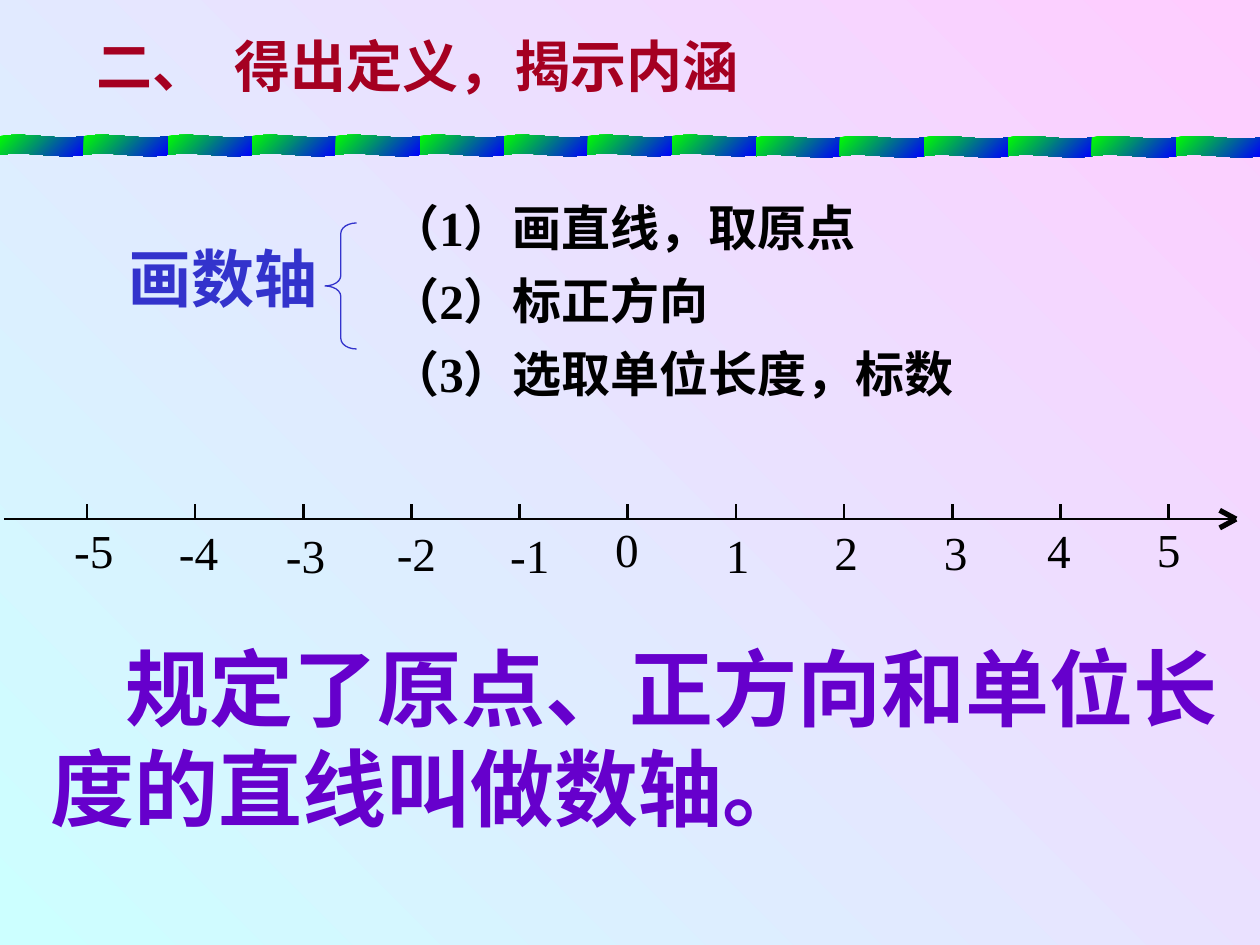
from lxml.etree import SubElement
from pptx import Presentation
from pptx.dml.color import RGBColor
from pptx.enum.shapes import MSO_CONNECTOR, MSO_SHAPE
from pptx.enum.text import MSO_AUTO_SIZE, PP_ALIGN
from pptx.oxml.ns import qn
from pptx.util import Inches, Pt

COLORS = {
    "sky": "CCFFFF", "pink": "FFCCFF", "green": "00FF00", "blue": "0000FF",
    "title": "A50021", "topic": "3333CC", "definition": "6600CC",
    "step": "000000", "axis": "010101",
}
LATIN, CHINESE = "Times New Roman", "Noto Sans CJK SC"
RIBBON_PIECES = 15
AXIS_TOP, FIRST_TICK, TICK_GAP = 4.12, 0.69, 0.8585
STEPS = [("（1）画直线，取原点", 5.58), ("（2）标正方向", 3.75), ("（3）选取单位长度，标数", 5.58)]
NUMBER_PLACES = {
    -5: (0.57, 4.14), -4: (1.4, 4.15), -3: (2.25, 4.18), -2: (3.13, 4.16),
    -1: (4.03, 4.18), 0: (4.88, 4.13), 1: (5.76, 4.18), 2: (6.62, 4.15),
    3: (7.49, 4.15), 4: (8.31, 4.14), 5: (9.18, 4.13),
}


def color(name):
    return RGBColor.from_string(COLORS[name])


def inches(*lengths):
    return [Inches(length) for length in lengths]


class SlideBuilder:
    """Holds the current slide and draws each kind of element on it."""

    def __init__(self, page):
        self.page = page

    def gradient(self, fill, start, end, angle):
        """Fill with two colours; the angle runs counter-clockwise."""
        fill.gradient()
        fill.gradient_angle = angle
        for stop, name in zip(fill.gradient_stops, (start, end)):
            stop.color.rgb = color(name)

    def text(self, text, place, size, ink, typeface=LATIN, bold=True,
             margins=(0.1, 0.05), wrap=True, align=PP_ALIGN.LEFT, indent=0, tab=None):
        box = self.page.shapes.add_textbox(*inches(*place))
        horizontal, vertical = inches(*margins)
        frame_format = {
            "margin_left": horizontal, "margin_right": horizontal,
            "margin_top": vertical, "margin_bottom": vertical,
            "word_wrap": wrap, "auto_size": MSO_AUTO_SIZE.SHAPE_TO_FIT_TEXT,
        }
        for name, value in frame_format.items():
            setattr(box.text_frame, name, value)
        paragraph = box.text_frame.paragraphs[0]
        paragraph.alignment = align
        properties = paragraph._p.get_or_add_pPr()
        if indent:
            properties.set("indent", str(Inches(indent)))
        if tab:
            tabs = SubElement(properties, qn("a:tabLst"))
            SubElement(tabs, qn("a:tab"), pos=str(Inches(tab)), algn="l")
        span = paragraph.add_run()
        span.text = text
        for name, value in {"size": Pt(size), "bold": bold, "name": typeface}.items():
            setattr(span.font, name, value)
        span.font.color.rgb = color(ink)
        SubElement(span._r.get_or_add_rPr(), qn("a:ea"), typeface=CHINESE)

    def line(self, start, end, width=1.5):
        connector = self.page.shapes.add_connector(
            MSO_CONNECTOR.STRAIGHT, *inches(*start, *end))
        connector.line.color.rgb = color("axis")
        connector.line.width = Pt(width)
        SubElement(connector._element.spPr, qn("a:effectLst"))

    def shape(self, kind, place, adjustment):
        shape = self.page.shapes.add_shape(kind, *inches(*place))
        shape.shadow.inherit = False
        shape.adjustments[0] = adjustment
        return shape

    def brace(self, place):
        brace = self.shape(MSO_SHAPE.LEFT_BRACE, place, 0.33)
        brace.fill.background()
        brace.line.color.rgb = color("topic")
        brace.line.width = Pt(0.75)

    def ribbon_piece(self, place):
        wave = self.shape(MSO_SHAPE.WAVE, place, 0.0625)
        self.gradient(wave.fill, "green", "blue", 315)
        wave.line.fill.background()


def main():
    deck = Presentation()
    deck.slide_width, deck.slide_height = inches(10, 7.5)
    page = deck.slides.add_slide(deck.slide_layouts[6])
    builder = SlideBuilder(page)
    builder.gradient(page.background.fill, "sky", "pink", 45)

    builder.text("画数轴", (0.92, 1.85, 5.67, 0.7), 36, "topic")
    builder.brace((2.58, 1.77, 0.25, 1))
    for row, (step, width) in enumerate(STEPS):
        builder.text(step, (3, 1.52 + 0.58 * row, width, 0.57), 28, "step")
    builder.text("规定了原点、正方向和单位长度的直线叫做数轴。", (0.3, 5, 9.7, 1.7),
                 48, "definition", CHINESE, indent=0.6)
    builder.text("二、\t得出定义，揭示内涵", (0.67, 0.2, 6.33, 0.64),
                 32, "title", CHINESE, tab=1.09)

    builder.line((0.03, AXIS_TOP), (9.81, AXIS_TOP))
    for barb_top in (AXIS_TOP - 0.07, AXIS_TOP + 0.07):
        builder.line((9.68, barb_top), (9.81, AXIS_TOP), 3)
    for index, (number, (left, top)) in enumerate(NUMBER_PLACES.items()):
        tick = FIRST_TICK + TICK_GAP * index
        builder.line((tick, AXIS_TOP), (tick, 4))
        width = 0.35 if number < 0 else 0.19
        builder.text(str(number), (left, top, width, 0.45), 27, "step", bold=False,
                     margins=(0, 0), wrap=False, align=PP_ALIGN.CENTER)

    piece_width = 10 / RIBBON_PIECES
    for index in range(RIBBON_PIECES):
        top = 1.07 if index < 9 else 1.08
        builder.ribbon_piece((index * piece_width, top, piece_width, 0.17))

    deck.save("out.pptx")


if __name__ == "__main__":
    main()
